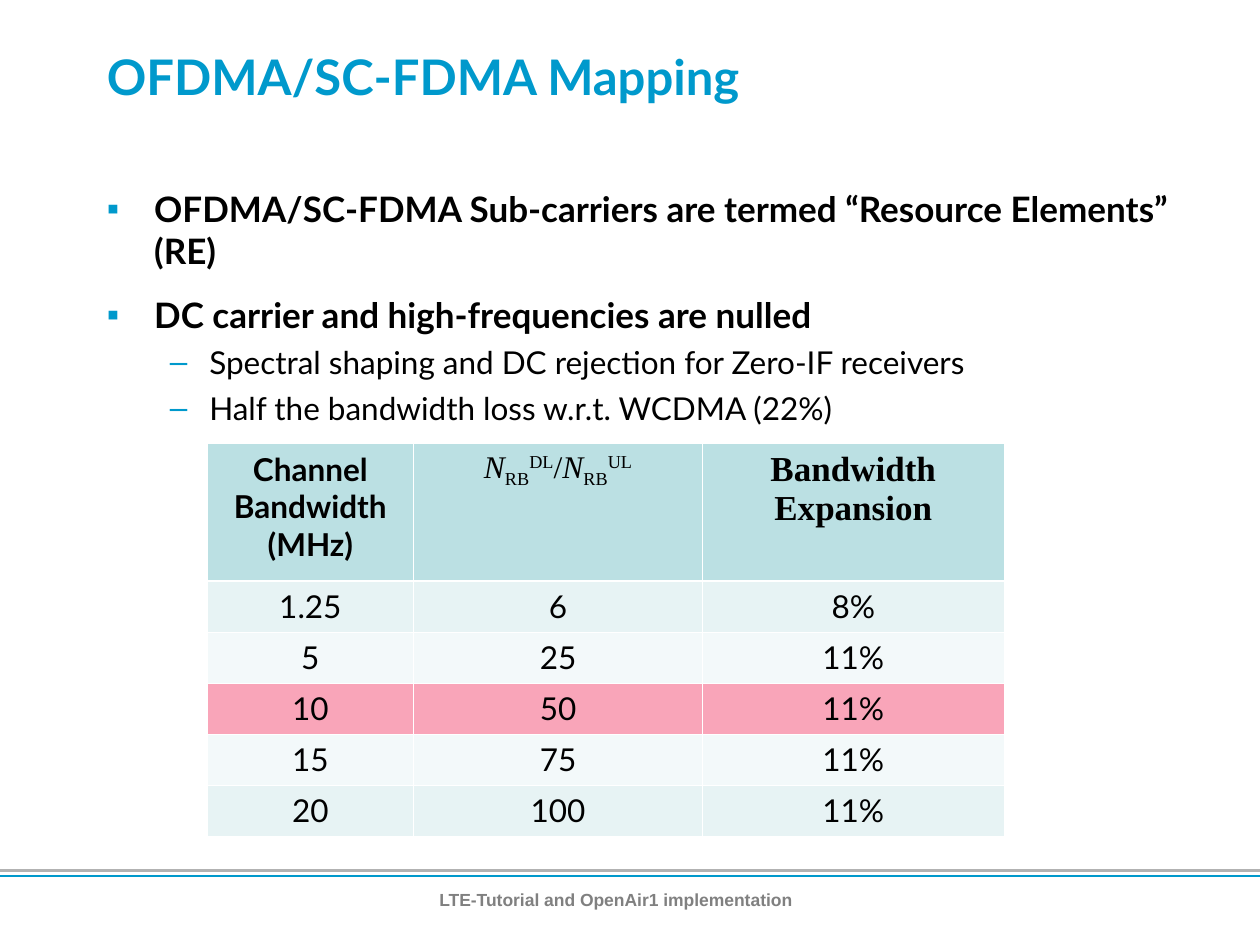
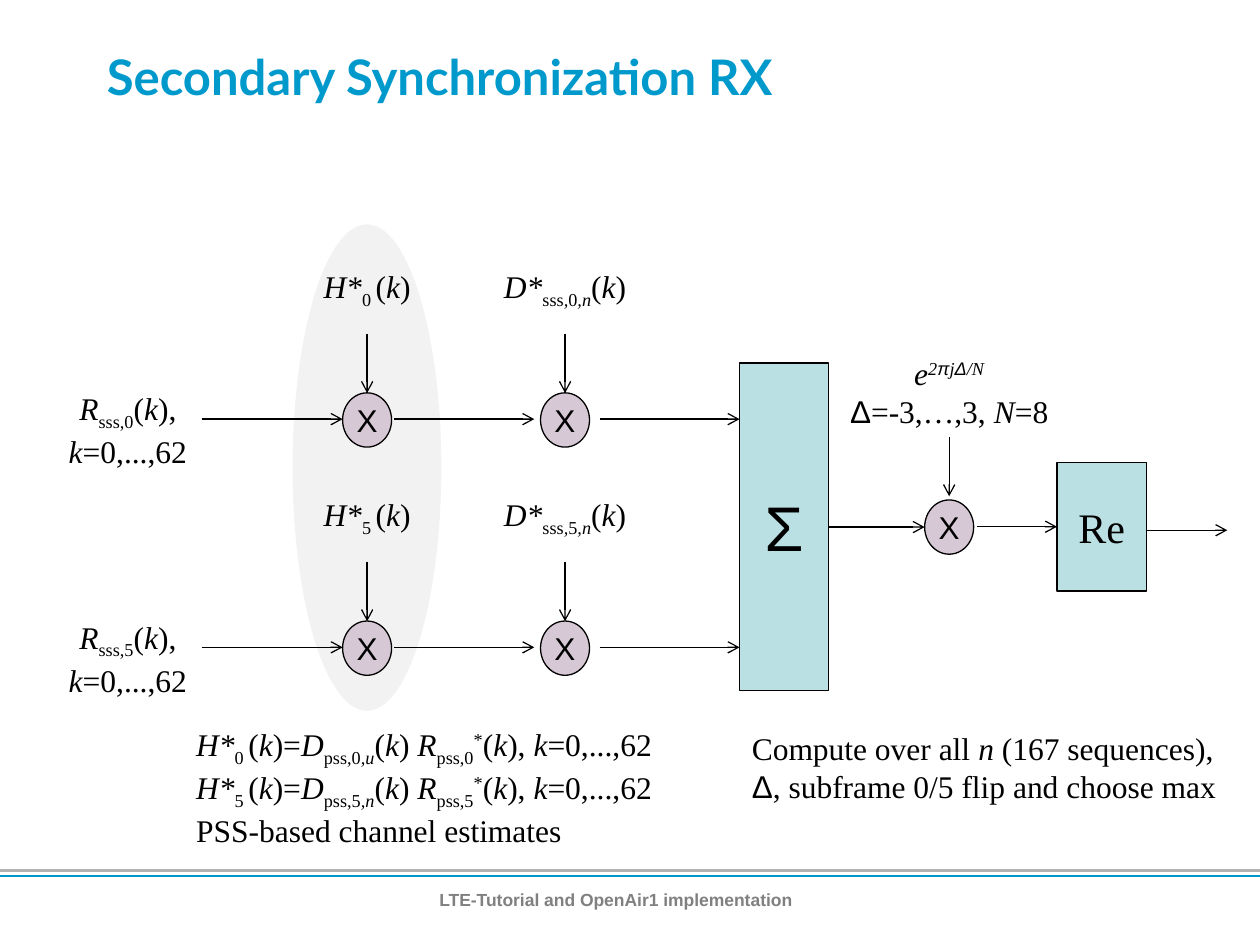
from dataclasses import dataclass
from typing import NamedTuple

from lxml import etree
from pptx import Presentation
from pptx.dml.color import RGBColor
from pptx.enum.shapes import MSO_CONNECTOR, MSO_SHAPE
from pptx.enum.text import MSO_ANCHOR, PP_ALIGN
from pptx.oxml.ns import qn
from pptx.util import Pt

LEFT, CENTER = PP_ALIGN.LEFT, PP_ALIGN.CENTER
TOP, MIDDLE = MSO_ANCHOR.TOP, MSO_ANCHOR.MIDDLE
OVAL, RECTANGLE = MSO_SHAPE.OVAL, MSO_SHAPE.RECTANGLE
STRAIGHT = MSO_CONNECTOR.STRAIGHT

BLACK, WHITE, ACCENT = "000000", "FFFFFF", "0099CC"
RULE_GRAY, FOOTER_GRAY, HALO_GRAY = "B2B2B2", "808080", "F2F2F2"
TEAL, PALE_TEAL, PALEST_TEAL = "BBE0E3", "E7F3F4", "F3F9FA"
PINK, MAUVE = "F9A5B9", "D6C8D4"
LATO, ARIAL, TIMES = "Lato", "Arial", "Times New Roman"


class Box(NamedTuple):
    left: float
    top: float
    width: float
    height: float


class Run(NamedTuple):
    text: str
    italic: bool = False
    baseline: int = 0
    font: str | None = None


@dataclass(frozen=True)
class Style:
    font: str
    size: float
    color: str = BLACK
    bold: bool = False
    align: PP_ALIGN = LEFT


@dataclass(frozen=True)
class Bullet:
    text: str
    mark: str
    size: float
    bold: bool
    margin: float
    hang: float
    space: float


Paragraph = list[Run]

TITLE = Style(LATO, 28, ACCENT, bold=True)
FOOTER = Style(ARIAL, 10, FOOTER_GRAY, bold=True, align=CENTER)
FORMULA = Style(TIMES, 18, align=CENTER)
NOTE = Style(TIMES, 18)
CELL = Style(LATO, 18, align=CENTER)
HEAD = Style(LATO, 18, bold=True, align=CENTER)
HEAD_SERIF = Style(TIMES, 20, bold=True, align=CENTER)


# Text helpers
def rgb(value: str) -> RGBColor:
    return RGBColor.from_string(value)


def it(text: str, font: str | None = None) -> Run:
    return Run(text, italic=True, font=font)


def sub(text: str, italic: bool = False) -> Run:
    return Run(text, italic, -25)


def sup(text: str, italic: bool = False, font: str | None = None) -> Run:
    return Run(text, italic, 30, font)


def of_k(end: str = ")") -> Paragraph:
    return [Run("("), it("k"), Run(end)]


def write(frame, paragraphs: list[Paragraph], style: Style) -> None:
    for index, pieces in enumerate(paragraphs):
        paragraph = frame.add_paragraph() if index else frame.paragraphs[0]
        paragraph.alignment = style.align
        for piece in pieces:
            run = paragraph.add_run()
            run.text = piece.text
            font = run.font
            font.name, font.size = piece.font or style.font, Pt(style.size)
            font.bold, font.italic = style.bold, piece.italic
            font.color.rgb = rgb(style.color)
            if piece.baseline:
                run._r.get_or_add_rPr().set("baseline", str(piece.baseline * 1000))


# Drawing helpers
def add_text(slide, box: Box, paragraphs: list[Paragraph], style: Style, anchor=TOP):
    frame = slide.shapes.add_textbox(*map(Pt, box)).text_frame
    frame.word_wrap = True
    frame.vertical_anchor = anchor
    write(frame, paragraphs, style)
    return frame


def add_block(slide, kind, box: Box, fill: str, label: str = "",
              style: Style | None = None) -> None:
    block = slide.shapes.add_shape(kind, *map(Pt, box))
    block.shadow.inherit = False
    block.fill.solid()
    block.fill.fore_color.rgb = rgb(fill)
    if style is None:
        block.line.fill.background()
        return
    block.line.color.rgb = rgb(BLACK)
    block.line.width = Pt(0.75)
    frame = block.text_frame
    frame.word_wrap = False
    frame.vertical_anchor = MIDDLE
    write(frame, [[Run(label)]], style)


def add_line(slide, x1: float, y1: float, x2: float, y2: float,
             color: str = BLACK, width: float = 0.75, arrow: bool = True) -> None:
    line = slide.shapes.add_connector(STRAIGHT, Pt(x1), Pt(y1), Pt(x2), Pt(y2))
    line.line.color.rgb = rgb(color)
    line.line.width = Pt(width)
    if arrow:
        etree.SubElement(line.line._get_or_add_ln(), qn("a:tailEnd"), type="arrow")
    etree.SubElement(line._element.spPr, qn("a:effectLst"))


def add_base_slide(deck, title: str):
    slide = deck.slides.add_slide(deck.slide_layouts[6])
    for y, color in ((497.5, RULE_GRAY), (500.5, ACCENT)):
        add_line(slide, 0, y, 720, y, color, 1.5, arrow=False)
    add_text(slide, Box(54, 9.4, 646.5, 68.4), [[Run(title)]], TITLE, MIDDLE)
    add_text(slide, Box(152, 504.7, 399.6, 35),
             [[Run("LTE-Tutorial and OpenAir1 implementation")]], FOOTER)
    return slide


# Mapping slide
def main_bullet(text: str) -> Bullet:
    return Bullet(text, "▪", 20, True, 27, 27, 12.5)


def detail_bullet(text: str) -> Bullet:
    return Bullet(text, "–", 18, False, 58.5, 22.5, 4.5)


BULLETS = [
    main_bullet("OFDMA/SC-FDMA Sub-carriers are termed “Resource Elements” (RE)"),
    main_bullet("DC carrier and high-frequencies are nulled"),
    detail_bullet("Spectral shaping and DC rejection for Zero-IF receivers"),
    detail_bullet("Half the bandwidth loss w.r.t. WCDMA (22%)"),
]
RESOURCE_BLOCKS = [it("N"), sub("RB"), sup("DL"), Run("/"),
                   it("N"), sub("RB"), sup("UL")]
HEADERS = [
    ([[Run("Channel Bandwidth (MHz)")]], HEAD),
    ([RESOURCE_BLOCKS], FORMULA),
    ([[Run("Bandwidth")], [Run("Expansion")]], HEAD_SERIF),
]
BANDWIDTHS = [
    (PALE_TEAL, ("1.25", "6", "8%")),
    (PALEST_TEAL, ("5", "25", "11%")),
    (PINK, ("10", "50", "11%")),
    (PALEST_TEAL, ("15", "75", "11%")),
    (PALE_TEAL, ("20", "100", "11%")),
]
COLUMN_WIDTHS = (118.1, 165, 172.5)
HEADER_HEIGHT, ROW_HEIGHT = 78.5, 29.2


def add_bullets(slide, box: Box) -> None:
    frame = add_text(slide, box, [], NOTE)
    for index, bullet in enumerate(BULLETS):
        paragraph = frame.add_paragraph() if index else frame.paragraphs[0]
        paragraph.text = bullet.text
        properties = paragraph._p.get_or_add_pPr()
        properties.set("marL", str(Pt(bullet.margin)))
        properties.set("indent", str(-Pt(bullet.hang)))
        if index:
            paragraph.space_before = Pt(bullet.space)
        color = etree.SubElement(properties, qn("a:buClr"))
        etree.SubElement(color, qn("a:srgbClr"), val=ACCENT)
        etree.SubElement(properties, qn("a:buFont"), typeface=ARIAL)
        etree.SubElement(properties, qn("a:buChar"), char=bullet.mark)
        font = paragraph.runs[0].font
        font.name, font.size, font.bold = LATO, Pt(bullet.size), bullet.bold
        font.color.rgb = rgb(BLACK)


def fill_cell(cell, paragraphs: list[Paragraph], style: Style, fill: str,
              top: float, bottom: float) -> None:
    properties = cell._tc.get_or_add_tcPr()
    for side, width in (("L", 0.45), ("R", 0.45), ("T", top), ("B", bottom)):
        border = etree.SubElement(properties, qn(f"a:ln{side}"), w=str(Pt(width)))
        solid = etree.SubElement(border, qn("a:solidFill"))
        etree.SubElement(solid, qn("a:srgbClr"), val=WHITE)
    cell.fill.solid()
    cell.fill.fore_color.rgb = rgb(fill)
    write(cell.text_frame, paragraphs, style)


def add_bandwidth_table(slide, left: float, top: float) -> None:
    heights = [HEADER_HEIGHT] + [ROW_HEIGHT] * len(BANDWIDTHS)
    box = Box(left, top, sum(COLUMN_WIDTHS), sum(heights))
    table = slide.shapes.add_table(len(heights), len(COLUMN_WIDTHS),
                                   *map(Pt, box)).table
    table.first_row = table.horz_banding = False
    for column, width in zip(table.columns, COLUMN_WIDTHS):
        column.width = Pt(width)
    for row, height in zip(table.rows, heights):
        row.height = Pt(height)
    for column, (paragraphs, style) in enumerate(HEADERS):
        fill_cell(table.cell(0, column), paragraphs, style, TEAL, 0.45, 1.47)
    for row, (fill, values) in enumerate(BANDWIDTHS, start=1):
        for column, value in enumerate(values):
            fill_cell(table.cell(row, column), [[Run(value)]], CELL, fill,
                      1.47 if row == 1 else 0.45, 0.45)


def build_mapping(deck) -> None:
    slide = add_base_slide(deck, "OFDMA/SC-FDMA Mapping")
    add_bullets(slide, Box(54, 103.5, 646.5, 145))
    add_bandwidth_table(slide, 118.3, 253.5)


# Synchronization slide
CHANNEL_X, SEQUENCE_X, ROTATION_X = 209.8, 322.9, 542.4
FIRST_ROW_Y, ROW_STEP, OUTPUT_Y = 240, 130.4, 301.2
MIXER_WIDTH, MIXER_HEIGHT = 28, 31


def channel(slot: str) -> Paragraph:
    return [it("H*"), sub(f"{slot} ")]


def add_mixer(slide, x: float, y: float, tap_top: float, tap: list[Paragraph]) -> None:
    add_text(slide, Box(x - 75, tap_top, 150, 50.4), tap, FORMULA, MIDDLE)
    add_line(slide, x, tap_top + 51, x, tap_top + 85)
    add_block(slide, OVAL, Box(x - MIXER_WIDTH / 2, y - MIXER_HEIGHT / 2,
                               MIXER_WIDTH, MIXER_HEIGHT),
              MAUVE, "X", Style(ARIAL, 18, align=CENTER))


def add_receive_branch(slide, slot: str, y: float) -> None:
    received = [it("R"), sub(f"sss,{slot}"), *of_k("), "), it("k"), Run("=0,...,62")]
    add_text(slide, Box(31, y - 21, 84.2, 53.3), [received], FORMULA)
    sequence = [it("D*"), sub("sss"), sub(",", True), sub(slot), sub(",n", True), *of_k()]
    add_mixer(slide, CHANNEL_X, y, y - 100.4, [channel(slot) + of_k()])
    add_mixer(slide, SEQUENCE_X, y, y - 100.4, [sequence])
    for start, end in ((115.2, 195.8), (225.4, 305.3), (342.7, 422.6)):
        add_line(slide, start, y - 0.5, end, y - 0.5)


def channel_estimate(slot: str, index: str) -> Paragraph:
    return [*channel(slot), *of_k(")="), it("D"), sub(f"pss,{slot}"),
            sub(f",{index}", True), *of_k(), it(" R"), sub(f"pss,{slot}"),
            sup("*"), *of_k("), "), it("k"), Run("=0,...,62")]


def build_synchronization(deck) -> None:
    slide = add_base_slide(deck, "Secondary Synchronization RX")
    add_block(slide, OVAL, Box(167.2, 128.2, 85, 278), HALO_GRAY)
    for row, slot in enumerate("05"):
        add_receive_branch(slide, slot, FIRST_ROW_Y + row * ROW_STEP)

    # Summation, frequency rotation and real part
    rotation = [
        [it("e"), sup("2", True), sup("π", True, ARIAL), sup("j", True),
         sup("Δ", True, ARIAL), sup("/N", True)],
        [Run("Δ", font=ARIAL), Run("=-3,…,3, "), it("N"), Run("=8")],
    ]
    add_mixer(slide, ROTATION_X, OUTPUT_Y, 198.6, rotation)
    add_block(slide, RECTANGLE, Box(422.5, 207.4, 51, 187), TEAL, "Σ",
              Style(ARIAL, 36, align=CENTER))
    add_block(slide, RECTANGLE, Box(604, 264.2, 51, 73.5), TEAL, "Re",
              Style(TIMES, 24, align=CENTER))
    for start, end, y in ((473.5, 528.4, 301.2), (558, 604, 301), (655, 701.3, 303)):
        add_line(slide, start, y, end, y)

    # Notes under the diagram
    add_text(slide, Box(105, 410.7, 290, 78),
             [channel_estimate("0", "u"), channel_estimate("5", "n"),
              [Run("PSS-based channel estimates")]], NOTE)
    add_text(slide, Box(422.5, 413, 289.5, 52),
             [[Run("Compute over all "), it("n "), Run("(167 sequences),")],
              [Run("Δ", font=ARIAL), Run(", subframe 0/5 flip and choose max")]], NOTE)


def main() -> None:
    deck = Presentation()
    deck.slide_width, deck.slide_height = Pt(720), Pt(540)
    build_mapping(deck)
    build_synchronization(deck)
    deck.save("out.pptx")


if __name__ == "__main__":
    main()
